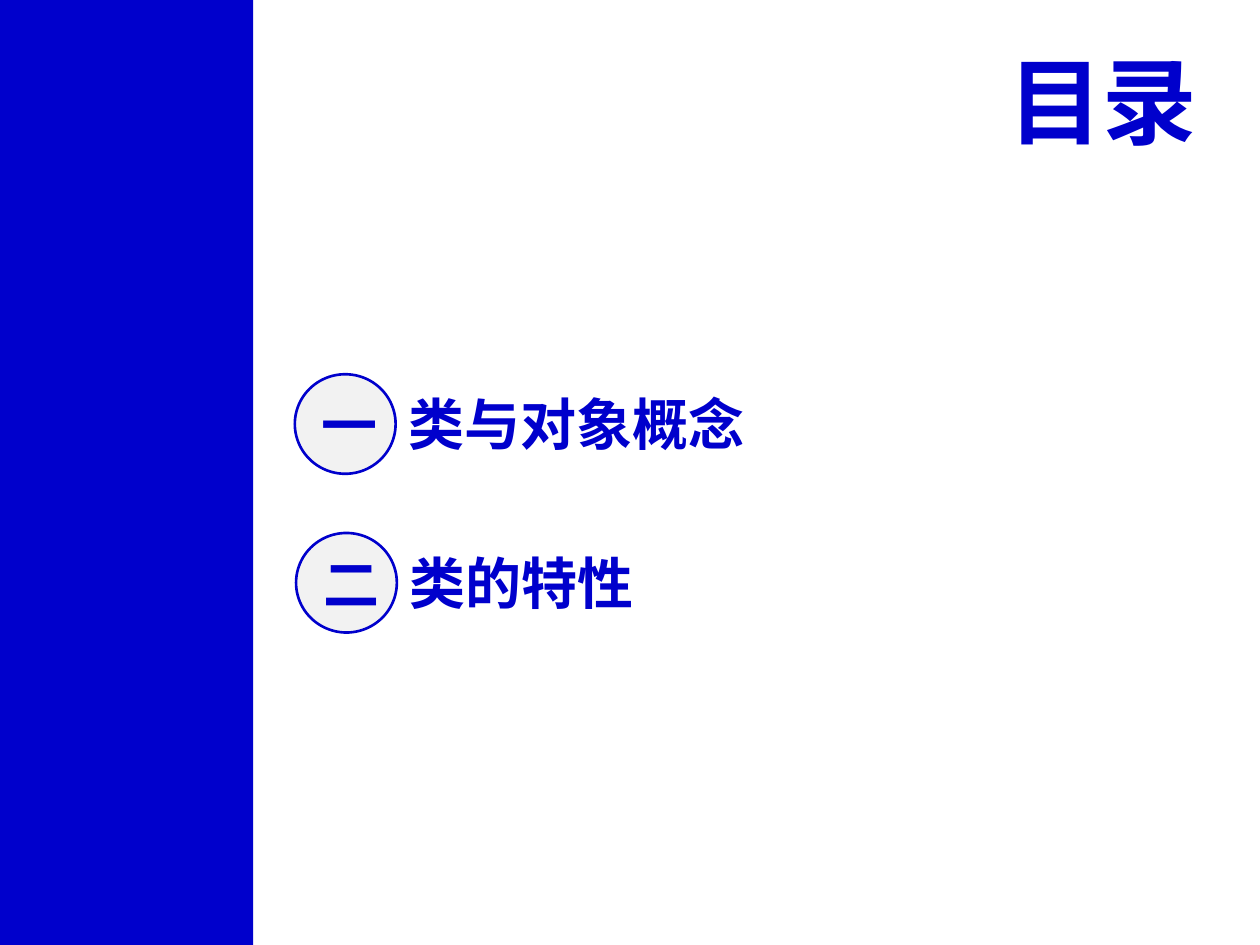
from lxml import etree
from pptx import Presentation
from pptx.dml.color import RGBColor
from pptx.enum.lang import MSO_LANGUAGE_ID as Language
from pptx.enum.shapes import MSO_SHAPE as Shape
from pptx.enum.text import MSO_ANCHOR as Anchor, MSO_AUTO_SIZE as AutoSize, PP_ALIGN as Align
from pptx.oxml.ns import qn
from pptx.util import Inches, Pt

BLUE = RGBColor(0x00, 0x00, 0xCC)
PALE_GREY = RGBColor(0xF2, 0xF2, 0xF2)


def add_solid(shapes, kind, left, top, width, height, color):
    shape = shapes.add_shape(kind, Inches(left), Inches(top), Inches(width), Inches(height))
    shape.shadow.inherit = False
    shape.fill.solid()
    shape.fill.fore_color.rgb = color
    return shape


def write_text(box, text, size, font_name, align, **frame_format):
    """Fill the box with one bold blue line, using the font for Chinese text too."""
    frame = box.text_frame
    for name, value in frame_format.items():
        setattr(frame, name, value)
    para = frame.paragraphs[0]
    para.alignment = align
    span = para.add_run()
    span.text = text
    font_format = {
        "size": Pt(size),
        "bold": True,
        "name": font_name,
        "language_id": Language.SIMPLIFIED_CHINESE,
    }
    for name, value in font_format.items():
        setattr(span.font, name, value)
    span.font.color.rgb = BLUE
    latin = span.font._element.find(qn("a:latin"))
    east_asian = etree.Element(qn("a:ea"), typeface=font_name)
    latin.addnext(east_asian)


deck = Presentation()
deck.slide_width, deck.slide_height = Inches(10), Inches(7.5)
slide = deck.slides.add_slide(deck.slide_layouts[6])

side_band = add_solid(slide.shapes, Shape.RECTANGLE, 0, 0, 2.01, 7.5, BLUE)
side_band.line.fill.background()

title = slide.shapes.add_textbox(Inches(7.84), Inches(0.29), Inches(1.76), Inches(1.01))
write_text(title, "目录", 54, "Arial", Align.RIGHT,
           word_wrap=False, auto_size=AutoSize.SHAPE_TO_FIT_TEXT)

entries = [
    ("一", "类与对象概念", 2.34, 2.97),
    ("二", "类的特性", 2.35, 4.23),
]
for number, topic, left, top in entries:
    entry = slide.shapes.add_group_shape()

    badge = add_solid(entry.shapes, Shape.OVAL, left, top, 0.8, 0.79, PALE_GREY)
    badge.line.color.rgb = BLUE
    badge.line.width = Pt(1.5)
    write_text(badge, number, 32, "Noto Sans CJK SC", Align.CENTER,
               vertical_anchor=Anchor.MIDDLE, word_wrap=True)

    label = entry.shapes.add_textbox(
        Inches(left + 0.8), Inches(top + 0.07), Inches(6.2), Inches(0.64))
    write_text(label, topic, 32, "Arial", Align.LEFT, vertical_anchor=Anchor.MIDDLE,
               word_wrap=True, auto_size=AutoSize.SHAPE_TO_FIT_TEXT)

deck.save("out.pptx")
